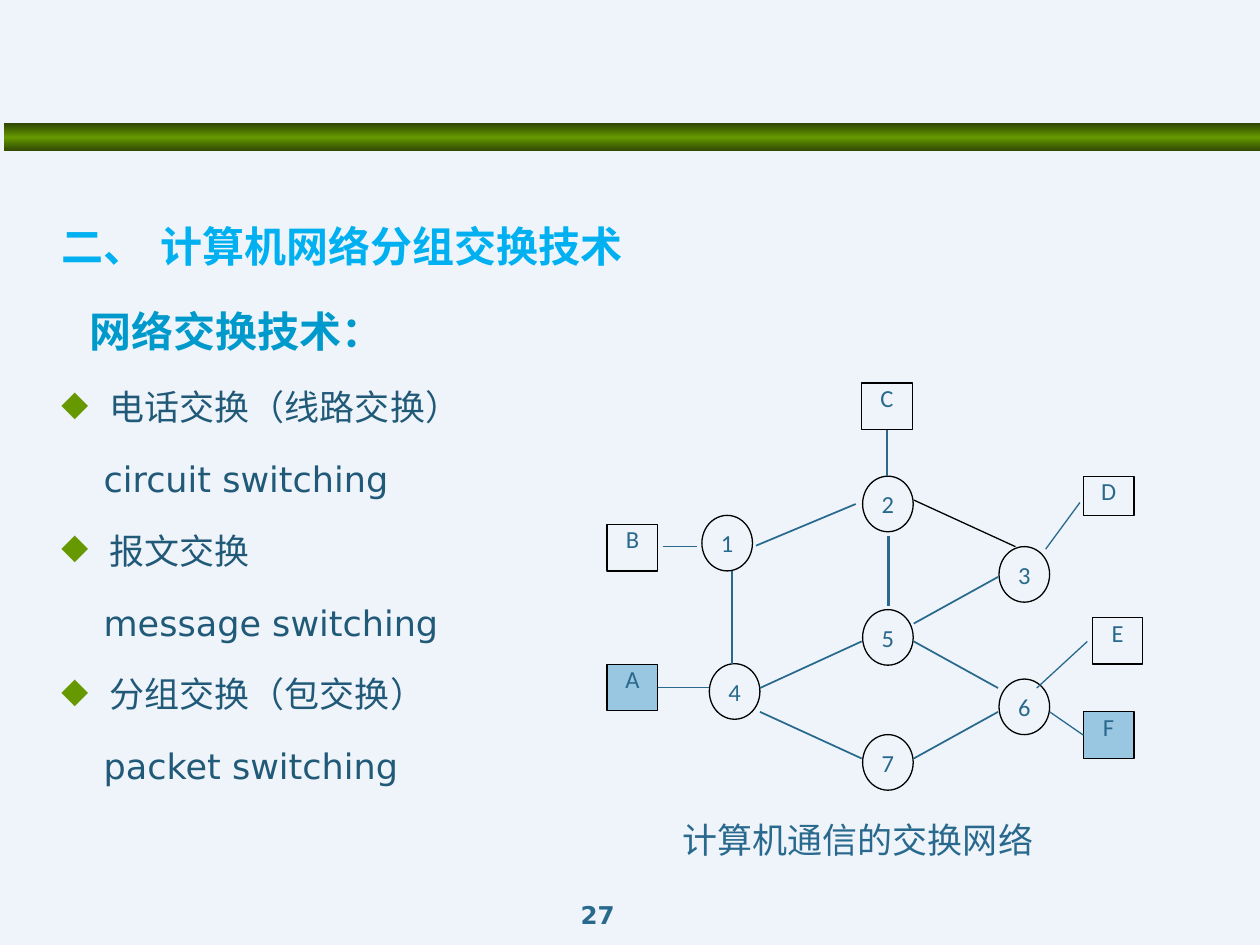
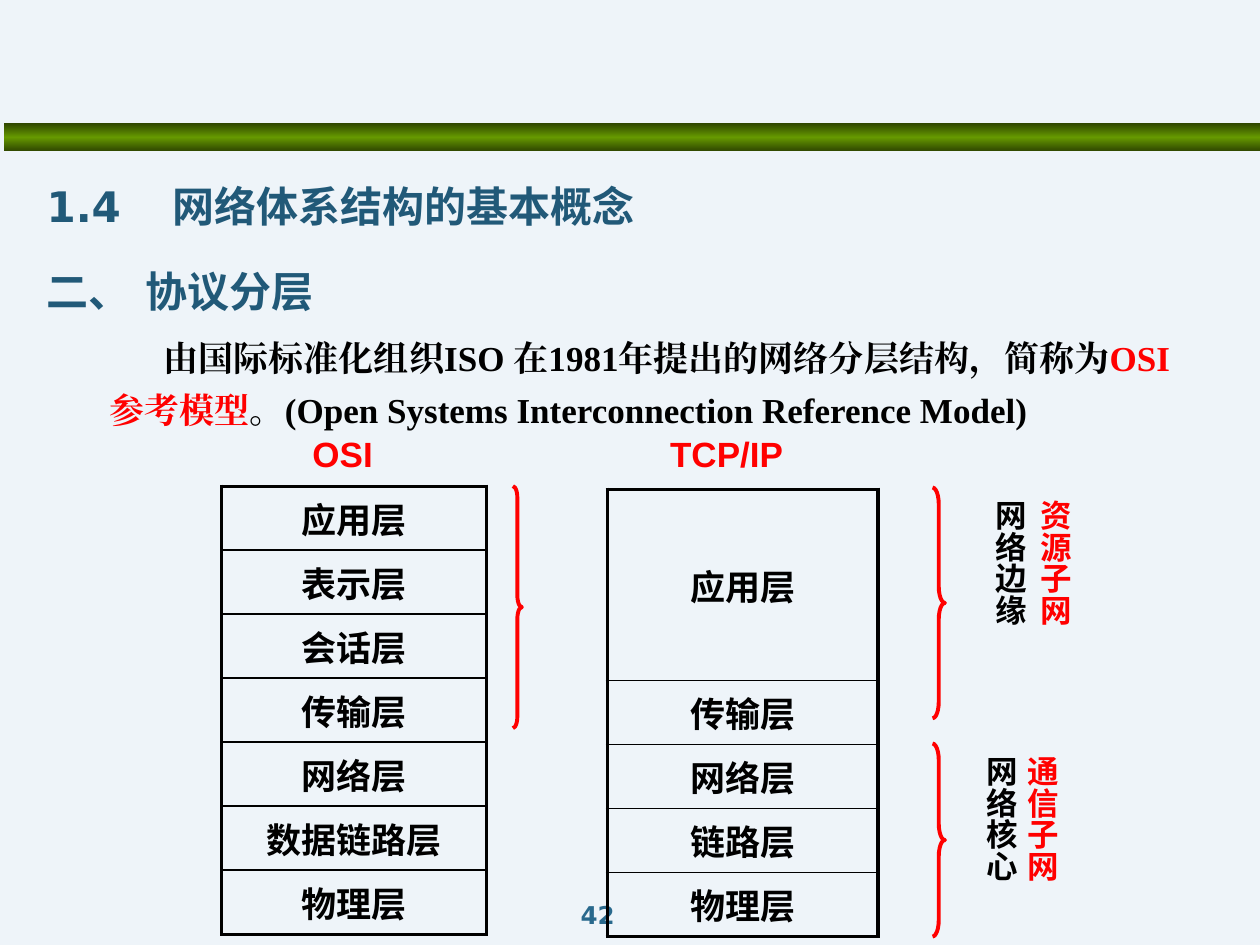
from copy import deepcopy

from lxml.etree import SubElement
from pptx import Presentation
from pptx.dml.color import RGBColor
from pptx.enum.shapes import MSO_CONNECTOR, MSO_SHAPE
from pptx.enum.text import MSO_ANCHOR, PP_ALIGN
from pptx.oxml.ns import qn
from pptx.util import Cm, Pt

rgb = RGBColor.from_string

PAPER, BLACK, RED = "EEF4F9", "000000", "FF0000"
GREEN, DARK_GREEN = "669900", "2F4700"
NAVY, BLUE, PALE_BLUE = "215978", "29698D", "99C7E1"
SANS, CJK = "DejaVu Sans", "Noto Sans CJK SC"


def write(frame, text, size=20, font=SANS, colour=BLACK, bold=False,
          align=PP_ALIGN.LEFT, spacing=None, before=0, left=0, first=0,
          bullet=None, tab=None, joined=False):
    """Add a paragraph to frame, or a run to its last paragraph if joined."""
    paragraph = frame.paragraphs[-1]
    if not joined:
        if paragraph.runs:
            paragraph = frame.add_paragraph()
            paragraph.space_before = Pt(before)
        paragraph.alignment = align
        if spacing:
            paragraph.line_spacing = spacing
        properties = paragraph._p.get_or_add_pPr()
        properties.set("marL", str(Cm(left)))
        properties.set("indent", str(Cm(first)))
        if bullet:
            bullet_colour = SubElement(properties, qn("a:buClr"))
            SubElement(bullet_colour, qn("a:srgbClr"), val=GREEN)
            SubElement(properties, qn("a:buChar"), char=bullet)
        if tab:
            tabs = SubElement(properties, qn("a:tabLst"))
            SubElement(tabs, qn("a:tab"), pos=str(Cm(tab)), algn="l")
    run = paragraph.add_run()
    run.text = text
    run.font.size = Pt(size)
    run.font.bold = bold
    run.font.color.rgb = rgb(colour)
    run.font.name = font
    SubElement(run._r.get_or_add_rPr(), qn("a:ea"), typeface=font)


def draw(slide, place, kind=None, line=None, width=0.75, fill=None, inset=None):
    """Add a preset shape, or a text box if no kind is given."""
    place = [Cm(length) for length in place]
    if kind is None:
        shape = slide.shapes.add_textbox(*place)
    else:
        shape = slide.shapes.add_shape(kind, *place)
        shape.shadow.inherit = False
        if fill:
            shape.fill.solid()
            shape.fill.fore_color.rgb = rgb(fill)
        else:
            shape.fill.background()
        if line:
            shape.line.color.rgb = rgb(line)
            shape.line.width = Pt(width)
        else:
            shape.line.fill.background()
    frame = shape.text_frame
    frame.word_wrap = True
    frame.vertical_anchor = MSO_ANCHOR.TOP
    if inset is not None:
        frame.margin_left = frame.margin_right = Cm(inset)
        frame.margin_top = frame.margin_bottom = Cm(inset)
    return shape


prs = Presentation()
prs.slide_width, prs.slide_height = Cm(25.4), Cm(19.05)
background = prs.slide_master.background.fill
background.solid()
background.fore_color.rgb = rgb(PAPER)

# Shared green band and page number
slides = []
for page in ("27", "42"):
    slide = prs.slides.add_slide(prs.slide_layouts[6])
    slides.append(slide)
    band = draw(slide, (0.08, 2.49, 25.32, 0.56), MSO_SHAPE.RECTANGLE)
    band.fill.gradient()
    band.fill.gradient_angle = 90
    stop_list = band._element.spPr.find(qn("a:gradFill")).find(qn("a:gsLst"))
    stop_list.insert(1, deepcopy(stop_list[0]))
    stop_colours = (DARK_GREEN, GREEN, DARK_GREEN)
    for i, stop in enumerate(band.fill.gradient_stops):
        stop.position = i / 2
        stop.color.rgb = rgb(stop_colours[i])
    number = draw(slide, (9.09, 18.01, 5.92, 0.81))
    write(number.text_frame, page, size=14, colour=BLUE, bold=True,
          align=PP_ALIGN.CENTER)
switching, layering = slides

# Slide 1: switching techniques
techniques = draw(switching, (0.99, 4.32, 14.91, 7.47)).text_frame
write(techniques, "二、 计算机网络分组交换技术", size=24, colour="00B0F0", bold=True)
write(techniques, "网络交换技术：", size=24, colour="0099CC", bold=True,
      spacing=1.5, before=5.5, left=0.57)
for chinese, english in (("电话交换（线路交换）", "circuit switching"),
                         ("报文交换", "message switching"),
                         ("分组交换（包交换）", "packet switching")):
    write(techniques, chinese, colour=NAVY, spacing=1.5, before=5,
          left=0.97, first=-0.97, bullet="◆")
    write(techniques, english, colour=NAVY, spacing=1.5, before=5, left=0.85)

# Switching nodes, by centre
node_width, node_height = 1.02, 1.12
node_centres = ((14.66, 10.95), (17.9, 10.16), (20.65, 11.58), (14.81, 13.94),
                (17.9, 12.85), (20.65, 14.25), (17.9, 15.37))
for label, (x, y) in enumerate(node_centres, start=1):
    node = draw(switching, (x - node_width / 2, y - node_height / 2,
                            node_width, node_height),
                MSO_SHAPE.OVAL, line=BLACK, inset=0)
    node.text_frame.vertical_anchor = MSO_ANCHOR.MIDDLE
    write(node.text_frame, str(label), size=14, font="Calibri", colour=BLUE,
          align=PP_ALIGN.CENTER)

# Hosts
hosts = {}
for label, x, y, height, fill in (("A", 12.24, 13.39, 0.94, PALE_BLUE),
                                  ("B", 12.24, 10.57, 0.94, None),
                                  ("C", 17.37, 7.72, 0.94, None),
                                  ("D", 21.84, 9.6, 0.79, None),
                                  ("E", 22.02, 12.45, 0.94, None),
                                  ("F", 21.84, 14.35, 0.94, PALE_BLUE)):
    host = draw(switching, (x, y, 1.02, height), MSO_SHAPE.RECTANGLE,
                line=BLACK, fill=fill, inset=0)
    write(host.text_frame, label, size=14, font="Calibri", colour=BLUE,
          align=PP_ALIGN.CENTER)
    hosts[label] = host

# Links: ends, colour, width, and the host side they start from
links = (
    ((17.91, 10.8, 17.91, 12.22), BLUE, 1.5, None),
    ((15.24, 11, 17.25, 10.16), BLUE, 1, None),
    ((14.76, 11.51, 14.76, 13.39), BLUE, 1, None),
    ((15.32, 14.35, 17.37, 15.29), BLUE, 1, None),
    ((15.32, 13.87, 17.37, 12.93), BLUE, 1, None),
    ((18.42, 10.08, 20.47, 11.02), BLACK, 0.75, None),
    ((18.42, 12.57, 20.12, 11.63), BLUE, 1, None),
    ((18.42, 12.93, 20.12, 13.87), BLUE, 1, None),
    ((20.12, 14.35, 18.42, 15.29), BLUE, 1, None),
    ((13.26, 13.86, 14.3, 13.86), BLUE, 0.75, ("A", 3)),
    ((13.36, 11.02, 14.05, 11.02), BLUE, 0.75, None),
    ((17.88, 8.66, 17.88, 9.6), BLUE, 0.75, ("C", 2)),
    ((21.77, 10.13, 21.08, 11.07), BLUE, 0.75, None),
    ((21.92, 12.93, 20.9, 13.87), BLUE, 0.75, None),
    ((21.84, 14.82, 21.16, 14.35), BLUE, 0.75, ("F", 1)),
)
for ends, colour, width, start in links:
    link = switching.shapes.add_connector(
        MSO_CONNECTOR.STRAIGHT, *[Cm(length) for length in ends])
    link.line.color.rgb = rgb(colour)
    link.line.width = Pt(width)
    SubElement(link._element.spPr, qn("a:effectLst"))
    if start:
        label, side = start
        link.begin_connect(hosts[label], side)

caption = draw(switching, (11.3, 16.51, 11.99, 1.42), inset=0)
write(caption.text_frame, "计算机通信的交换网络", font="Calibri", colour=BLUE,
      align=PP_ALIGN.CENTER)

# Slide 2: headings and introduction
headings = draw(layering, (0.69, 3, 23.44, 5.2)).text_frame
write(headings, "1.4\t网络体系结构的基本概念", size=24, colour=NAVY, bold=True,
      spacing=1.5, tab=2.27)
write(headings, "二、 协议分层", size=24, colour=NAVY, bold=True,
      spacing=1.5, before=5.5)

introduction = draw(layering, (0.99, 6.48, 23.22, 2.46)).text_frame
serif = {"font": "Times New Roman", "bold": True}
write(introduction, "由国际标准化组织ISO 在1981年提出的网络分层结构，简称为",
      spacing=1.22, left=0.97, first=1.09, **serif)
write(introduction, "OSI参考模型", colour=RED, joined=True, **serif)
write(introduction, "。(Open Systems Interconnection Reference Model)",
      joined=True, **serif)

# Layer stacks
row_height = 1.29
osi_layers = ("应用层", "表示层", "会话层", "传输层", "网络层", "数据链路层", "物理层")
tcp_layers = ("应用层", "传输层", "网络层", "链路层", "物理层")
for title, title_left, left, top, width, layers, top_row in (
        ("OSI", 6.05, 4.47, 9.8, 5.33, osi_layers, row_height),
        ("TCP/IP", 13.26, 12.24, 9.86, 5.46, tcp_layers, 3.86)):
    heading = draw(layering, (title_left, 8.59, 3.75, 0.81))
    write(heading.text_frame, title, font="Arial", colour=RED, bold=True)

    last = len(layers) - 1
    stack = layering.shapes.add_table(
        len(layers), 1, Cm(left), Cm(top), Cm(width),
        Cm(top_row + last * row_height)).table
    stack.first_row = stack.horz_banding = False
    for i, layer in enumerate(layers):
        stack.rows[i].height = Cm(row_height if i else top_row)
        cell = stack.cell(i, 0)
        cell.fill.background()
        cell.vertical_anchor = MSO_ANCHOR.MIDDLE
        write(cell.text_frame, layer, font=CJK, bold=True,
              align=PP_ALIGN.CENTER)
        borders = (("a:lnL", 2), ("a:lnR", 2), ("a:lnT", 1 if i else 2),
                   ("a:lnB", 2 if i == last else 1))
        cell_properties = cell._tc.get_or_add_tcPr()
        for position, (side, points) in enumerate(borders):
            border = SubElement(cell_properties, qn(side), w=str(Pt(points)))
            border_fill = SubElement(border, qn("a:solidFill"))
            SubElement(border_fill, qn("a:srgbClr"), val=BLACK)
            cell_properties.insert(position, border)

# Braces
for place in ((10.34, 9.8, 0.18, 4.88), (18.8, 9.83, 0.25, 4.65),
              (18.8, 14.99, 0.25, 3.89)):
    brace = draw(layering, place, MSO_SHAPE.RIGHT_BRACE, line=RED, width=2.25)
    brace.adjustments[0] = 1.31
    brace.adjustments[1] = 0.5

# Vertical subnet labels
for place, subnet, part, spacings in (
        ((19.23, 9.83, 2.59, 3.15), "资源子网", "网络边缘", (1.05, 1.1)),
        ((19.56, 14.99, 1.96, 3.07), "通信子网", "网络核心", (1, 1))):
    subnet_label = draw(layering, place).text_frame
    subnet_label._txBody.bodyPr.set("vert", "eaVert")
    for text, colour, spacing in zip((subnet, part), (RED, BLACK), spacings):
        write(subnet_label, text, size=18, font="Arial", colour=colour,
              bold=True, spacing=spacing, before=2)

prs.save("out.pptx")
